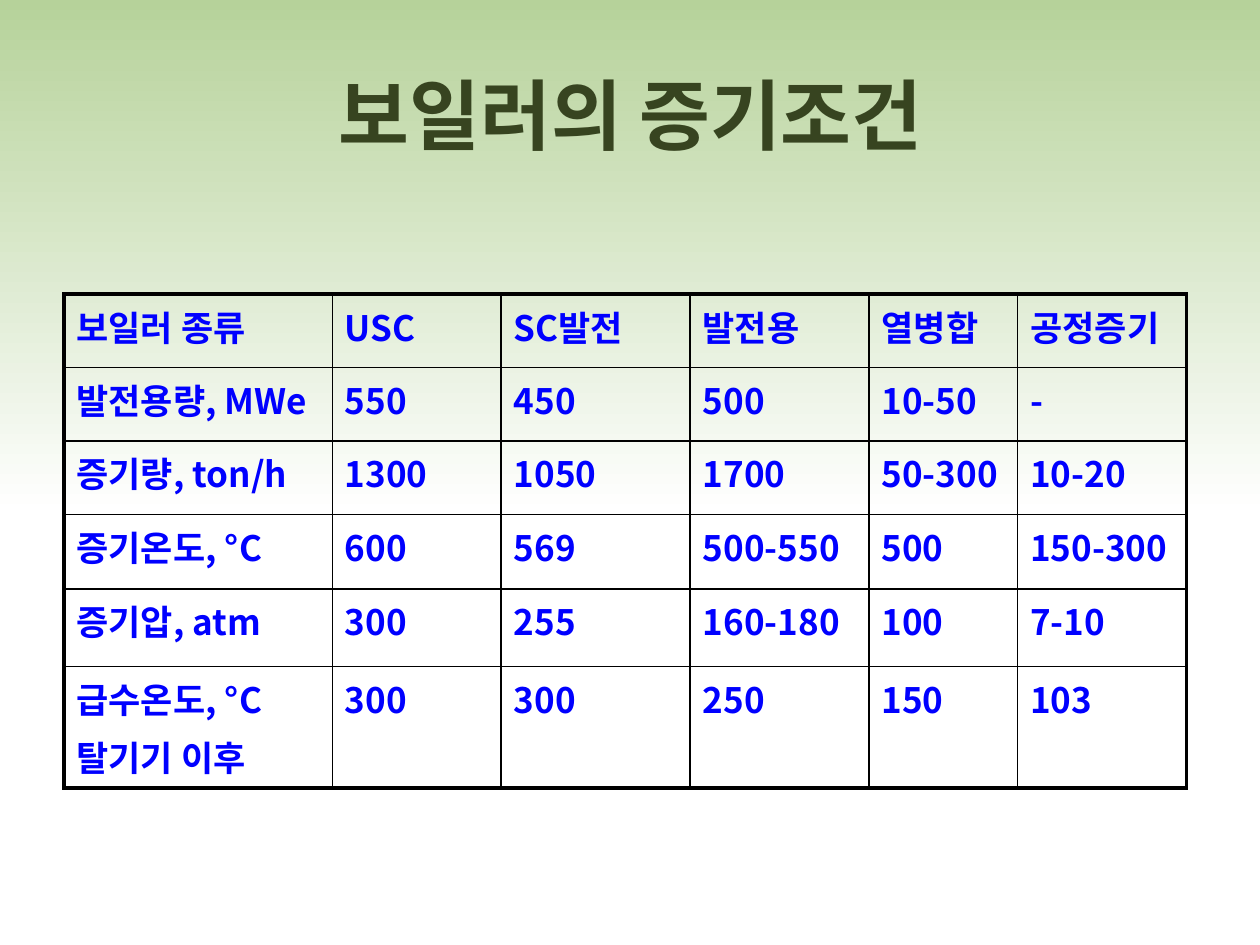
"""Build the slide on boiler steam conditions."""
from dataclasses import dataclass

from lxml.etree import SubElement
from pptx import Presentation
from pptx.dml.color import RGBColor
from pptx.enum.shapes import MSO_SHAPE as Preset
from pptx.enum.text import MSO_ANCHOR as Anchor, PP_ALIGN as Align
from pptx.oxml.ns import qn
from pptx.util import Pt

FONT = "Noto Sans CJK KR"
TITLE_COLOR, TEXT_COLOR, BORDER_COLOR = "374420", "0000FF", "000000"
GRADIENT_COLORS = ("B6D29A", "FFFFFF")
OUTER_BORDER, INNER_BORDER = 2.25, 1
WIDTH, HEIGHT = 720, 540
COLUMN_WIDTHS = (153.4, 96.5, 108, 102.2, 85, 96.5)


@dataclass
class Condition:
    label: str
    values: tuple[str, ...]
    height: float


CONDITIONS = (
    Condition("보일러 종류", ("USC", "SC발전", "발전용", "열병합", "공정증기"), 42),
    Condition("발전용량, MWe", ("550", "450", "500", "10-50", "-"), 42),
    Condition("증기량, ton/h", ("1300", "1050", "1700", "50-300", "10-20"), 42),
    Condition("증기온도, °C", ("600", "569", "500-550", "500", "150-300"), 42.5),
    Condition("증기압, atm", ("300", "255", "160-180", "100", "7-10"), 44.5),
    Condition("급수온도, °C\n탈기기 이후", ("300", "300", "250", "150", "103"), 44),
)


def rgb(value: str) -> RGBColor:
    return RGBColor.from_string(value)


def add_run(paragraph, text: str, size: float, color: str) -> None:
    run = paragraph.add_run()
    run.text = text
    run.font.name = FONT
    run.font.size = Pt(size)
    run.font.bold = True
    run.font.color.rgb = rgb(color)
    SubElement(run.font._element, qn("a:ea"), typeface=FONT)


def draw_backdrop(slide) -> None:
    backdrop = slide.shapes.add_shape(Preset.RECTANGLE, 0, 0, Pt(WIDTH), Pt(294))
    backdrop.shadow.inherit = False
    backdrop.line.fill.background()
    backdrop.fill.gradient()
    backdrop.fill.gradient_angle = 270
    for stop, color, position in zip(backdrop.fill.gradient_stops, GRADIENT_COLORS, (0, 1)):
        stop.color.rgb = rgb(color)
        stop.position = position
    slide.shapes._spTree.insert(2, backdrop._element)


def write_title(slide, text: str) -> None:
    title = slide.shapes.title
    title.left, title.top, title.width, title.height = Pt(36.5), Pt(20), Pt(648), Pt(90)
    title.text_frame.vertical_anchor = Anchor.MIDDLE
    heading = title.text_frame.paragraphs[0]
    heading.alignment = Align.CENTER
    add_run(heading, text, 44, TITLE_COLOR)


def set_border(cell, side: str, width: float) -> None:
    properties = cell._tc.get_or_add_tcPr()
    border = SubElement(properties, qn(f"a:ln{side}"), w=str(Pt(width)))
    fill = SubElement(border, qn("a:solidFill"))
    SubElement(fill, qn("a:srgbClr"), val=BORDER_COLOR)


def write_cell(cell, text: str) -> None:
    frame = cell.text_frame
    for index, line in enumerate(text.split("\n")):
        paragraph = frame.add_paragraph() if index else frame.paragraphs[0]
        spacing = SubElement(paragraph._p.get_or_add_pPr(), qn("a:spcBef"))
        SubElement(spacing, qn("a:spcPct"), val="20000")
        add_run(paragraph, line, 20, TEXT_COLOR)


def draw_conditions(slide, conditions: tuple[Condition, ...]) -> None:
    last_row, last_column = len(conditions) - 1, len(COLUMN_WIDTHS) - 1
    total_height = sum(condition.height for condition in conditions)
    table = slide.shapes.add_table(
        len(conditions), len(COLUMN_WIDTHS), Pt(36.5), Pt(168),
        Pt(sum(COLUMN_WIDTHS)), Pt(total_height),
    ).table
    table.first_row = table.horz_banding = False
    for column, width in zip(table.columns, COLUMN_WIDTHS):
        column.width = Pt(width)
    for r, condition in enumerate(conditions):
        table.rows[r].height = Pt(condition.height)
        for c, text in enumerate((condition.label, *condition.values)):
            cell = table.cell(r, c)
            edges = {"L": c == 0, "R": c == last_column, "T": r == 0, "B": r == last_row}
            for side, is_outer in edges.items():
                set_border(cell, side, OUTER_BORDER if is_outer else INNER_BORDER)
            cell.fill.background()
            write_cell(cell, text)


def main() -> None:
    deck = Presentation()
    deck.slide_width, deck.slide_height = Pt(WIDTH), Pt(HEIGHT)
    slide = deck.slides.add_slide(deck.slide_layouts[5])
    draw_backdrop(slide)
    write_title(slide, "보일러의 증기조건")
    draw_conditions(slide, CONDITIONS)
    deck.save("out.pptx")


if __name__ == "__main__":
    main()
